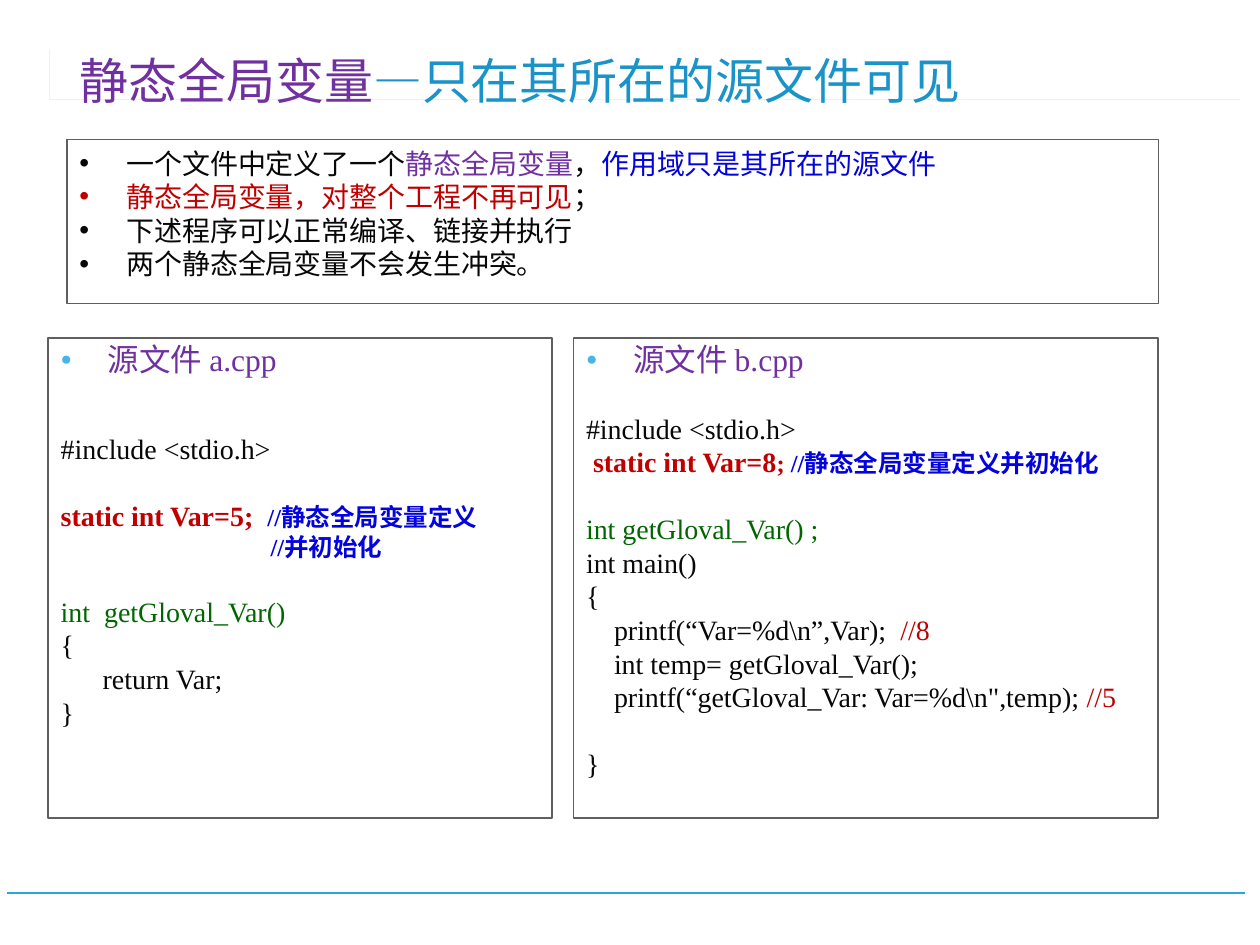
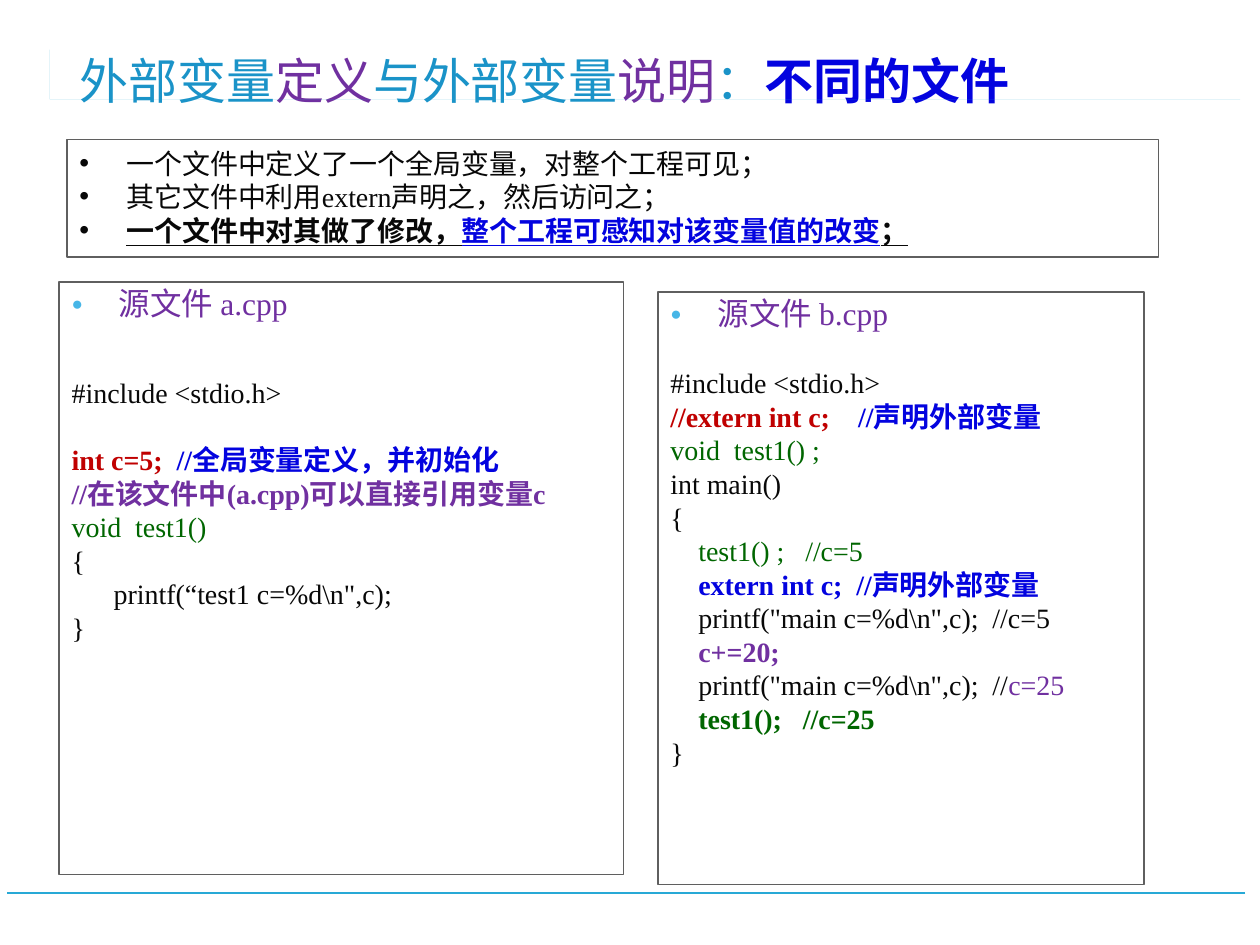
from lxml import etree
from pptx import Presentation
from pptx.dml.color import RGBColor
from pptx.enum import shapes, text
from pptx.oxml import ns
from pptx.util import Cm, Pt

FONT = "Times New Roman"
INK = RGBColor(0x08, 0x08, 0x08)
PURPLE = RGBColor(0x70, 0x30, 0xA0)
BLUE = RGBColor(0x03, 0x03, 0xDF)
RED = RGBColor(0xC0, 0x00, 0x00)
GREEN = RGBColor(0x00, 0x66, 0x00)
SKY = RGBColor(0x1A, 0x93, 0xC8)
ACCENT = RGBColor(0x28, 0xA9, 0xD6)
BULLET = RGBColor(0x47, 0xB6, 0xE7)
BORDER = RGBColor(0x5F, 0x5F, 0x5F)
WHITE = RGBColor(0xFF, 0xFF, 0xFF)

PLAIN = dict(color=INK)
NOTE = dict(color=BLUE, bold=True)
SMALL_NOTE = dict(color=BLUE, bold=True, size=14)
VARIABLE = dict(color=RED, bold=True)
FUNCTION = dict(color=GREEN)
KEY = dict(color=PURPLE, bold=True)
RESULT = dict(color=RED)
TERM = dict(color=PURPLE)
SCOPE = dict(color=BLUE)
STRESS = dict(color=INK, bold=True, underline=True)

BLANK_LINE = 19
SPACE = 4
HANG = Cm(0.95)
BRACKET = [(1.04, 1.17), (1.04, 2.34), (3.56, 2.34), (25.4, 2.39), (0.99, 2.39), (0.99, 1.22),
           (0.91, 1.22), (0.91, 2.39), (0.69, 2.39), (0.69, 1.17), (0.76, 1.17), (0.76, 2.31),
           (0.84, 2.31), (0.84, 1.17)]

# Each code line: blank lines above, leading spaces, runs
SLIDES = [
    dict(
        title=[("静态全局变量", PURPLE, False), ("—只在其所在的源文件可见", SKY, False)],
        summary_height=3.3,
        summary=[
            [("一个文件中定义了一个", PLAIN), ("静态全局变量", TERM), ("，", PLAIN),
             ("作用域只是其所在的源文件", SCOPE)],
            [("静态全局变量，对整个工程不再可见", RESULT), ("；", PLAIN)],
            [("下述程序可以正常编译、链接并执行", PLAIN)],
            [("两个静态全局变量不会发生冲突。", PLAIN)],
        ],
        sources=[
            dict(heading="源文件 a.cpp", box=(0.97, 6.81, 10.16, 9.68), code=[
                (1.6, 0, [("#include <stdio.h>", PLAIN)]),
                (1, 0, [("static int Var=5;  ", VARIABLE), ("//静态全局变量定义", SMALL_NOTE)]),
                (0, 30, [("//并初始化", SMALL_NOTE)]),
                (1, 0, [("int  getGloval_Var()", FUNCTION)]),
                (0, 0, [("{", PLAIN)]),
                (0, 6, [("return Var;", PLAIN)]),
                (0, 0, [("}", PLAIN)]),
            ]),
            dict(heading="源文件 b.cpp", box=(11.56, 6.81, 11.79, 9.68), code=[
                (1, 0, [("#include <stdio.h>", PLAIN)]),
                (0, 1, [("static int Var=8", VARIABLE), ("; ", dict(VARIABLE, size=14)),
                        ("//静态全局变量定义并初始化", SMALL_NOTE)]),
                (1, 0, [("int getGloval_Var() ;", FUNCTION)]),
                (0, 0, [("int main()", PLAIN)]),
                (0, 0, [("{", PLAIN)]),
                (0, 4, [("printf(“Var=%d\\n”,Var);  ", PLAIN), ("//8", RESULT)]),
                (0, 4, [("int temp= getGloval_Var();", PLAIN)]),
                (0, 4, [("printf(“getGloval_Var: Var=%d\\n\",temp); ", PLAIN), ("//5", RESULT)]),
                (1, 0, [("}", PLAIN)]),
            ]),
        ],
    ),
    dict(
        title=[("外部变量", SKY, False), ("定义", PURPLE, False), ("与外部变量", SKY, False),
               ("说明", PURPLE, False), ("：", SKY, False), ("不同的文件", BLUE, True)],
        summary_height=2.36,
        summary=[
            [("一个文件中定义了一个全局变量，对整个工程可见；", PLAIN)],
            [("其它文件中利用extern声明之，然后访问之；", PLAIN)],
            [("一个文件中对其做了修改，", STRESS),
             ("整个工程可感知对该变量值的改变", dict(STRESS, color=BLUE)), ("；", STRESS)],
        ],
        sources=[
            dict(heading="源文件 a.cpp", box=(1.19, 5.69, 11.38, 11.94), code=[
                (1.6, 0, [("#include <stdio.h>", PLAIN)]),
                (1, 0, [("int c=5;  ", VARIABLE), ("//全局变量定义，并初始化", NOTE)]),
                (0, 0, [("//在该文件中(a.cpp)可以直接引用变量c", KEY)]),
                (0, 0, [("void  test1()", FUNCTION)]),
                (0, 0, [("{", PLAIN)]),
                (0, 6, [("printf(“test1 c=%d\\n\",c);", PLAIN)]),
                (0, 0, [("}", PLAIN)]),
            ]),
            dict(heading="源文件 b.cpp", box=(13.26, 5.89, 9.8, 11.94), code=[
                (1, 0, [("#include <stdio.h>", PLAIN)]),
                (0, 0, [("//extern int c;    ", VARIABLE), ("//声明外部变量", NOTE)]),
                (0, 0, [("void  test1() ;", FUNCTION)]),
                (0, 0, [("int main()", PLAIN)]),
                (0, 0, [("{", PLAIN)]),
                (0, 4, [("test1() ;   //c=5", FUNCTION)]),
                (0, 4, [("extern int c;  //声明外部变量", NOTE)]),
                (0, 4, [("printf(\"main c=%d\\n\",c);  //c=5", PLAIN)]),
                (0, 4, [("c+=20;", KEY)]),
                (0, 4, [("printf(\"main c=%d\\n\",c);  //", PLAIN), ("c=25", TERM)]),
                (0, 4, [("test1();   //c=25", dict(FUNCTION, bold=True))]),
                (0, 0, [("}", PLAIN)]),
            ]),
        ],
    ),
]


def add_run(paragraph, words, color=INK, size=16, bold=False, underline=False):
    run = paragraph.add_run()
    run.text = words
    font = run.font
    font.name, font.size, font.bold, font.underline = FONT, Pt(size), bold, underline
    font.color.rgb = color


def next_paragraph(frame, before=0, spacing=1.0):
    first = frame.paragraphs[0]
    paragraph = first if not first.runs else frame.add_paragraph()
    paragraph.alignment = text.PP_ALIGN.LEFT
    paragraph.space_before, paragraph.space_after = Pt(before), Pt(0)
    paragraph.line_spacing = spacing
    return paragraph


def set_indent(paragraph, margin, bullet=None, color=None, percent=100):
    props = paragraph._p.get_or_add_pPr()
    props.set("marL", str(int(margin)))
    props.set("indent", str(-int(margin) if bullet else 0))
    if not bullet:
        etree.SubElement(props, ns.qn("a:buNone"))
        return
    if color is not None:
        tint = etree.SubElement(props, ns.qn("a:buClr"))
        etree.SubElement(tint, ns.qn("a:srgbClr"), val=str(color))
    etree.SubElement(props, ns.qn("a:buSzPct"), val=str(percent * 1000))
    etree.SubElement(props, ns.qn("a:buFont"), typeface="Arial")
    etree.SubElement(props, ns.qn("a:buChar"), char=bullet)


def place(shape, box, anchor=text.MSO_ANCHOR.TOP):
    shape.left, shape.top, shape.width, shape.height = map(Cm, box)
    frame = shape.text_frame
    frame.auto_size = text.MSO_AUTO_SIZE.NONE
    frame.word_wrap = True
    frame.vertical_anchor = anchor
    return frame


def outline(shape, width):
    shape.line.color.rgb = BORDER
    shape.line.width = Pt(width)


def add_frame(slide):
    builder = slide.shapes.build_freeform(*BRACKET[0], scale=int(Cm(1)))
    builder.add_line_segments(BRACKET[1:], close=True)
    bracket = builder.convert_to_shape()
    bracket.shadow.inherit = False
    bracket.fill.solid()
    bracket.fill.fore_color.rgb = ACCENT
    bracket.line.fill.background()
    footer = slide.shapes.add_connector(
        shapes.MSO_CONNECTOR.STRAIGHT, Cm(25.1), Cm(18), Cm(0.15), Cm(18))
    footer.line.color.rgb = ACCENT
    footer.line.width = Pt(1.25)
    etree.SubElement(footer.element.spPr, ns.qn("a:effectLst"))


def add_title(slide, parts):
    frame = place(slide.shapes.title, (1.35, 0.71, 22.48, 1.63), text.MSO_ANCHOR.BOTTOM)
    paragraph = next_paragraph(frame, spacing=0.9)
    for words, color, bold in parts:
        add_run(paragraph, words, color=color, bold=bold, size=28)


def add_summary(slide, points, height):
    summary = slide.shapes.add_shape(shapes.MSO_SHAPE.RECTANGLE, 0, 0, 0, 0)
    summary.shadow.inherit = False
    summary.fill.background()
    outline(summary, 0.75)
    frame = place(summary, (1.35, 2.82, 22, height))
    for point in points:
        paragraph = next_paragraph(frame)
        set_indent(paragraph, HANG, "•")
        for words, style in point:
            add_run(paragraph, words, **style)


def fill_source(panel, source):
    frame = place(panel, source["box"])
    panel.fill.solid()
    panel.fill.fore_color.rgb = WHITE
    outline(panel, 1)
    heading = next_paragraph(frame, before=13.5, spacing=0.9)
    set_indent(heading, HANG, "●", BULLET, 60)
    add_run(heading, source["heading"], color=PURPLE, size=18)
    for blanks, spaces, runs in source["code"]:
        paragraph = next_paragraph(frame, before=blanks * BLANK_LINE)
        set_indent(paragraph, Pt(spaces * SPACE))
        for words, style in runs:
            add_run(paragraph, words, **style)


def main():
    deck = Presentation()
    deck.slide_width, deck.slide_height = Cm(25.4), Cm(19.05)
    for content in SLIDES:
        slide = deck.slides.add_slide(deck.slide_layouts.get_by_name("Two Content"))
        add_frame(slide)
        add_title(slide, content["title"])
        for number, source in enumerate(content["sources"], start=1):
            fill_source(slide.placeholders[number], source)
        add_summary(slide, content["summary"], content["summary_height"])
    deck.save("out.pptx")


if __name__ == "__main__":
    main()
